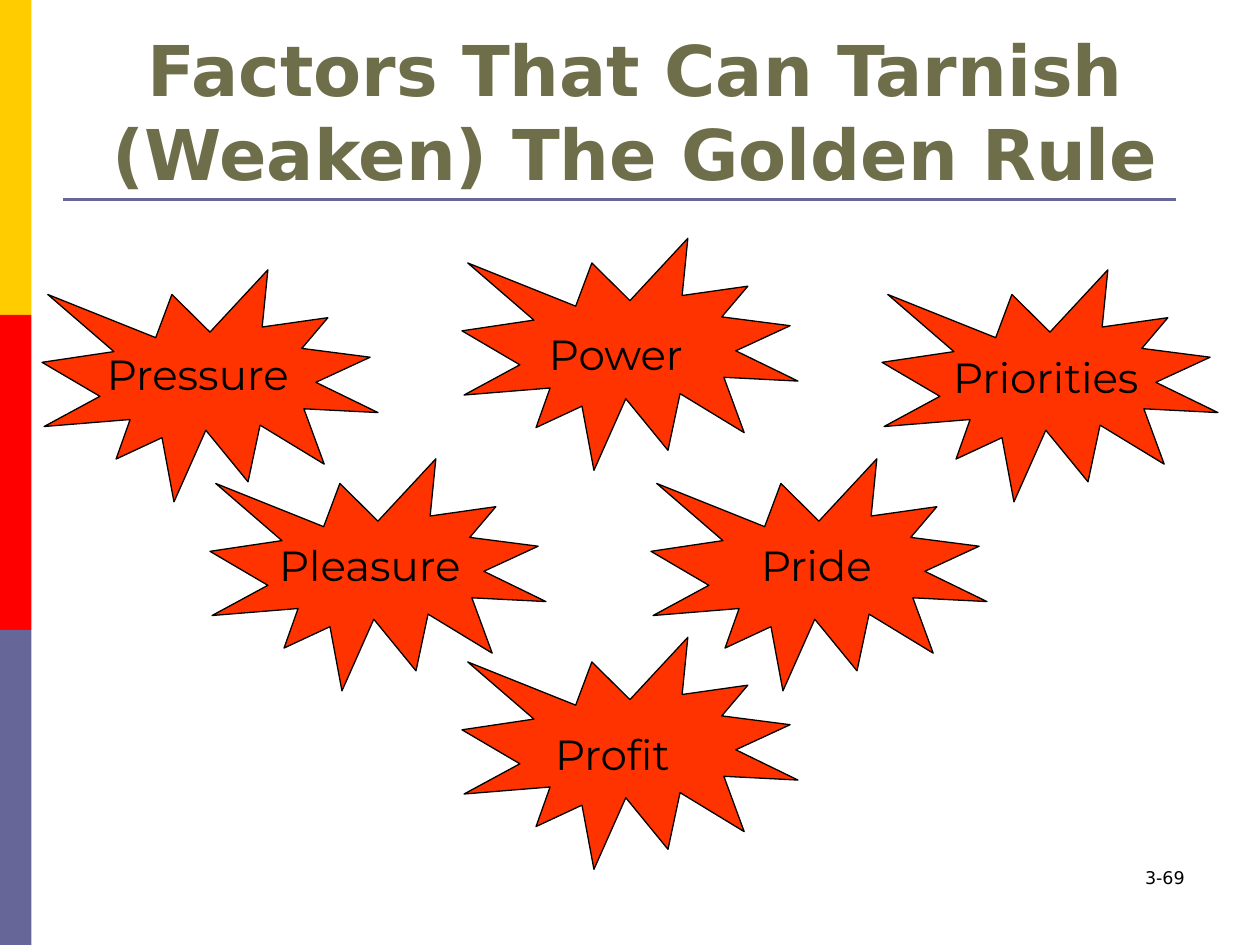
from dataclasses import dataclass

from lxml import etree
from pptx import Presentation
from pptx import util as u
from pptx.dml.color import RGBColor
from pptx.enum import shapes, text
from pptx.oxml.ns import qn

# Grid of the page: one cell is a twelfth of an inch
COLUMNS, ROWS = 120, 90
CELL = u.Inches(1 / 12)
BURST_SIZE = (32, 22.1)


@dataclass(frozen=True)
class Theme:
    bands: tuple = ("FFCC00", "FF0000", "666699")
    rule: str = "666699"
    burst: str = "FF3300"
    ink: str = "000000"
    title: str = "6F6E4A"
    title_font: str = "DejaVu Sans"
    label_font: str = "Montserrat"
    title_size: int = 40
    label_size: int = 24
    number_size: int = 10


THEME = Theme()

# Word, burst (column, row), label (column, row, width), from back to front
FACTORS = [
    ("Profit", (44, 60.7), (51.7, 68.8, 14.4)),
    ("Pride", (62, 43.7), (71.3, 50.8, 13.8)),
    ("Pleasure", (20, 43.7), (25.4, 50.8, 21.5)),
    ("Priorities", (84, 25.7), (89.6, 32.9, 22.4)),
    ("Power", (44, 22.7), (51.1, 30.7, 16.2)),
    ("Pressure", (4, 25.7), (9, 32.6, 27)),
]


def cells(*values):
    return [round(value * CELL) for value in values]


def color(value):
    return RGBColor.from_string(value)


def add_figure(page, kind, place, fill, outline=None):
    figure = page.shapes.add_shape(kind, *cells(*place))
    figure.shadow.inherit = False
    figure.fill.solid()
    figure.fill.fore_color.rgb = color(fill)
    if outline:
        figure.line.color.rgb = color(outline)
        figure.line.width = u.Pt(0.75)
    else:
        figure.line.fill.background()


def add_rule(page, start, end):
    rule = page.shapes.add_connector(
        shapes.MSO_CONNECTOR.STRAIGHT, *cells(*start, *end))
    rule.line.color.rgb = color(THEME.rule)
    rule.line.width = u.Pt(1.5)
    etree.SubElement(rule._element.spPr, qn("a:effectLst"))


def add_text(page, words, place, style, align=text.PP_ALIGN.LEFT,
             anchor=text.MSO_ANCHOR.TOP, wrap=True):
    box = page.shapes.add_textbox(*cells(*place))
    frame = box.text_frame
    frame.word_wrap = wrap
    frame.vertical_anchor = anchor
    para = frame.paragraphs[0]
    para.alignment = align
    span = para.add_run()
    span.text = words
    for name, value in style.items():
        if name == "color":
            span.font.color.rgb = color(value)
        else:
            setattr(span.font, name, value)


def main():
    deck = Presentation()
    deck.slide_width, deck.slide_height = cells(COLUMNS, ROWS)
    page = deck.slides.add_slide(deck.slide_layouts[6])

    # Side bands and the rule under the title
    band_height = ROWS / len(THEME.bands)
    for index, fill in enumerate(THEME.bands):
        add_figure(page, shapes.MSO_SHAPE.RECTANGLE,
                   (0, index * band_height, 3, band_height), fill)
    add_rule(page, (6, 19), (112, 19))

    # Bursts first, so that every label lies above them
    for _, corner, _ in FACTORS:
        add_figure(page, shapes.MSO_SHAPE.EXPLOSION1,
                   (*corner, *BURST_SIZE), THEME.burst, THEME.ink)
    label_style = {"name": THEME.label_font, "size": u.Pt(THEME.label_size),
                   "color": THEME.ink}
    for word, _, label in FACTORS:
        add_text(page, word, (*label, 6), label_style, wrap=False)

    # Title and page number
    add_text(page, "Factors That Can Tarnish (Weaken) The Golden Rule",
             (7, 1.8, 107, 17.4),
             {"name": THEME.title_font, "size": u.Pt(THEME.title_size),
              "bold": True, "color": THEME.title},
             text.PP_ALIGN.CENTER, text.MSO_ANCHOR.MIDDLE)
    add_text(page, "3-69", (86, 82, 28, 6),
             {"name": THEME.title_font, "size": u.Pt(THEME.number_size),
              "color": THEME.ink}, text.PP_ALIGN.RIGHT)

    deck.save("out.pptx")


if __name__ == "__main__":
    main()
